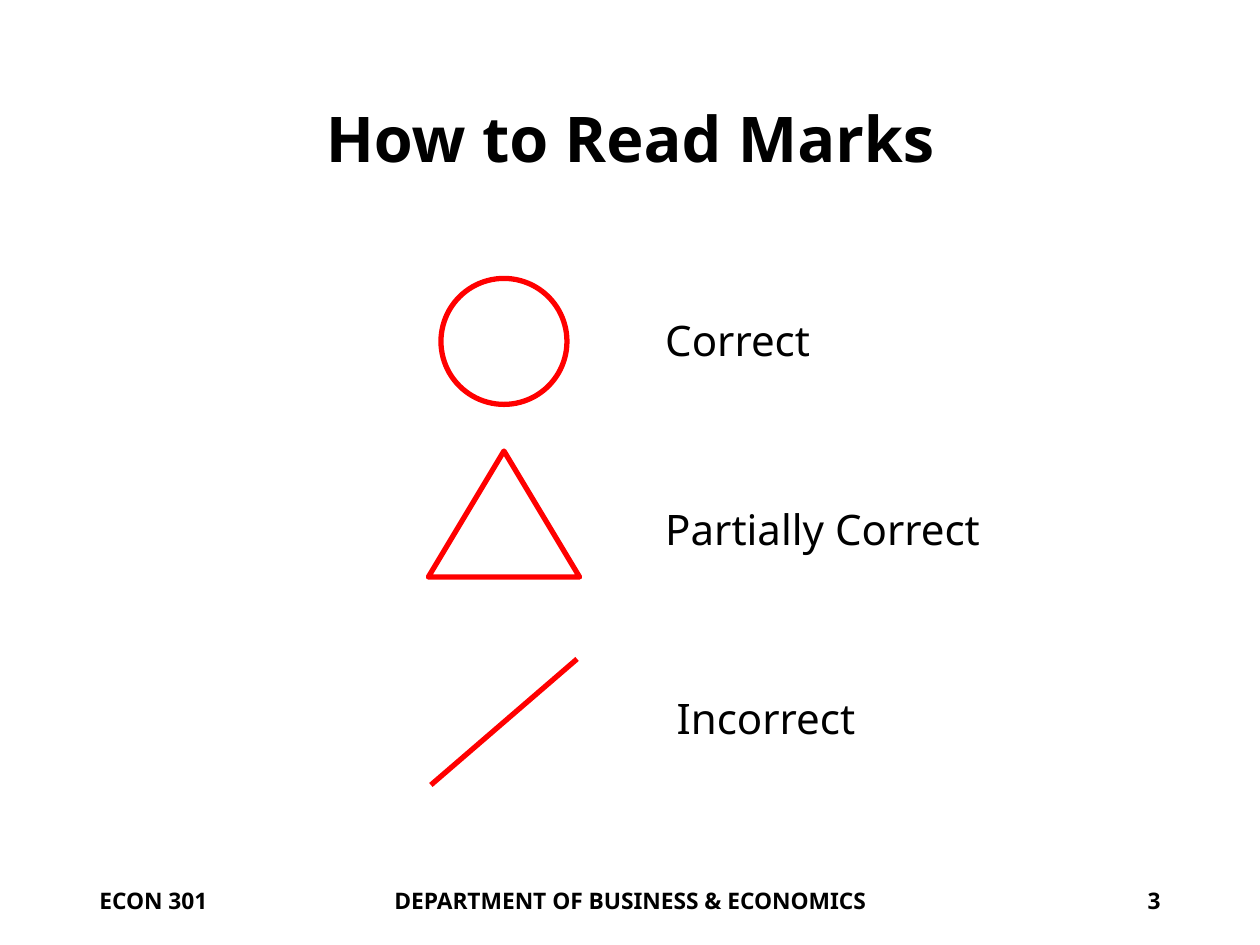
from lxml.etree import SubElement
from pptx import Presentation
from pptx.dml.color import RGBColor
from pptx.enum.shapes import MSO_CONNECTOR, MSO_SHAPE
from pptx.enum.text import MSO_ANCHOR, PP_ALIGN
from pptx.oxml.ns import qn
from pptx.util import Inches, Pt

BLACK = RGBColor(0, 0, 0)
RED = RGBColor(255, 0, 0)
FONT = "Noto Sans"
WIDTH, HEIGHT = 10, 7.5
MARGIN = 0.69
INNER = WIDTH - 2 * MARGIN


def add_text(slide, text, box, size=24, bold=False, align=PP_ALIGN.LEFT,
             inset=0.1, spacing=1.0):
    frame = slide.shapes.add_textbox(*map(Inches, box)).text_frame
    frame.word_wrap = True
    frame.vertical_anchor = MSO_ANCHOR.MIDDLE
    frame.margin_left = frame.margin_right = Inches(inset)
    para = frame.paragraphs[0]
    para.alignment = align
    para.line_spacing = spacing
    run = para.add_run()
    run.text = text
    font = run.font
    font.name, font.size, font.bold = FONT, Pt(size), bold
    font.color.rgb = BLACK


def style_line(line):
    line.color.rgb = RED
    line.width = Pt(3)


def add_mark(slide, kind, box):
    """Draw an outlined shape, or a rising stroke when kind is None."""
    left, top, width, height = map(Inches, box)
    if kind is None:
        mark = slide.shapes.add_connector(
            MSO_CONNECTOR.STRAIGHT, left, top + height, left + width, top)
        SubElement(mark._element.spPr, qn("a:effectLst"))
    else:
        mark = slide.shapes.add_shape(kind, left, top, width, height)
        mark.shadow.inherit = False
        mark.fill.background()
    style_line(mark.line)


def add_legend(slide, box):
    """Place three marks centred in the left column, labels in the right."""
    left, top, width, height = box
    row = height / 3
    axis = left + 0.6
    # kind, mark width, mark shift from row centre, label, label indent
    marks = [
        (MSO_SHAPE.OVAL, 1, 0, "Correct", 0),
        (MSO_SHAPE.ISOSCELES_TRIANGLE, 1.2, -0.13, "Partially Correct", 0),
        (None, 1.16, 0.02, "Incorrect", 0.09),
    ]
    for i, (kind, wide, shift, label, indent) in enumerate(marks):
        mid = top + (i + 0.5) * row
        add_mark(slide, kind, (axis - wide / 2, mid + shift - 0.5, wide, 1))
        start = left + 1.88 + indent
        add_text(slide, label, (start, mid - 0.26, left + width - start, 0.5),
                 inset=0)


def add_footer(slide, box):
    left, top, width, height = box
    side, centre = 2.25, 6.3
    parts = [
        ("ECON 301", left, side, PP_ALIGN.LEFT),
        ("DEPARTMENT OF BUSINESS & ECONOMICS",
         left + (width - centre) / 2, centre, PP_ALIGN.CENTER),
        ("3", left + width - side, side, PP_ALIGN.RIGHT),
    ]
    for text, start, wide, align in parts:
        add_text(slide, text, (start, top, wide, height), size=13, bold=True,
                 align=align)


def main():
    deck = Presentation()
    deck.slide_width, deck.slide_height = Inches(WIDTH), Inches(HEIGHT)
    slide = deck.slides.add_slide(deck.slide_layouts[6])
    add_text(slide, "How to Read Marks", (MARGIN, 0.4, INNER, 1.45), size=36,
             bold=True, align=PP_ALIGN.CENTER, spacing=0.9)
    add_legend(slide, (3.4, 1.96, 5.91, 4.5))
    add_footer(slide, (MARGIN, 6.95, INNER, 0.4))
    deck.save("out.pptx")


if __name__ == "__main__":
    main()
